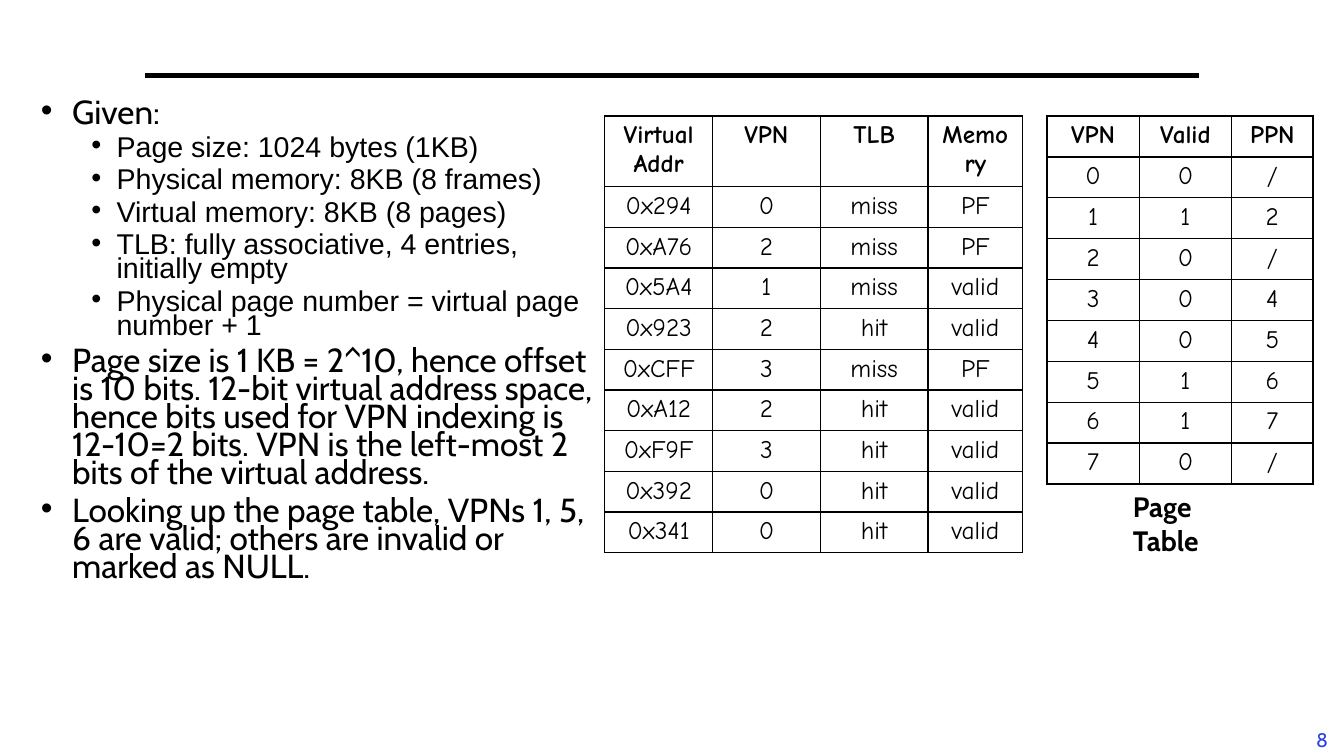
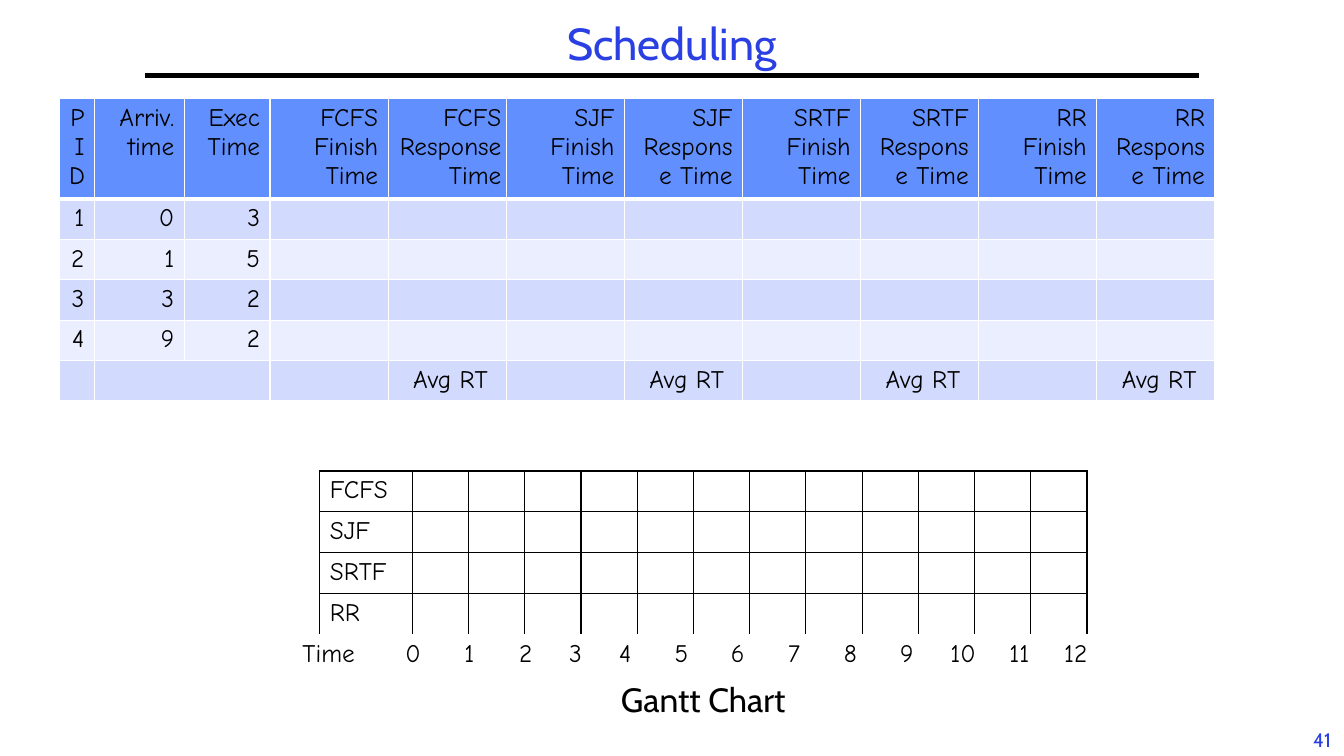
from collections import namedtuple

from lxml import etree
from pptx import Presentation
from pptx.dml.color import RGBColor
from pptx.enum.shapes import MSO_CONNECTOR
from pptx.enum.text import MSO_ANCHOR, MSO_AUTO_SIZE, PP_ALIGN
from pptx.oxml.ns import qn
from pptx.util import Inches, Pt

LEFT, CENTER, RIGHT = PP_ALIGN.LEFT, PP_ALIGN.CENTER, PP_ALIGN.RIGHT
STRAIGHT = MSO_CONNECTOR.STRAIGHT
TOP, MIDDLE = MSO_ANCHOR.TOP, MSO_ANCHOR.MIDDLE
NO_FIT = MSO_AUTO_SIZE.NONE

WIDTH, HEIGHT = Inches(13.333), Inches(7.5)
COLUMN, ROW = WIDTH / 100, HEIGHT / 100
COLORS = {"ink": "000000", "paper": "FFFFFF", "accent": "2A40E2",
          "header": "618FFD", "odd": "D2DBFE", "even": "EAEEFF"}
HEADING_FONT, LIST_FONT, TABLE_FONT = "Cabin", "Arial", "Comic Neue"

Box = namedtuple("Box", "left top width height")
Level = namedtuple("Level", "font size margin hanging")
LEVELS = [Level(HEADING_FONT, 23.8, 0.31, 0.31), Level(LIST_FONT, 20.4, 0.75, 0.25)]

GIVEN = [
    (0, "Given:"),
    (1, "Page size: 1024 bytes (1KB)"),
    (1, "Physical memory: 8KB (8 frames)"),
    (1, "Virtual memory: 8KB (8 pages)"),
    (1, "TLB: fully associative, 4 entries, initially empty"),
    (1, "Physical page number = virtual page number + 1"),
    (0, "Page size is 1 KB = 2^10, hence offset is 10 bits. 12-bit virtual address space, "
        "hence bits used for VPN indexing is 12-10=2 bits. VPN is the left-most 2 bits of "
        "the virtual address."),
    (0, "Looking up the page table, VPNs 1, 5, 6 are valid; others are invalid or marked as NULL."),
]
LOOKUPS = [
    ("Virtual Addr", "VPN", "TLB", "Memory"),
    ("0x294", "0", "miss", "PF"),
    ("0xA76", "2", "miss", "PF"),
    ("0x5A4", "1", "miss", "valid"),
    ("0x923", "2", "hit", "valid"),
    ("0xCFF", "3", "miss", "PF"),
    ("0xA12", "2", "hit", "valid"),
    ("0xF9F", "3", "hit", "valid"),
    ("0x392", "0", "hit", "valid"),
    ("0x341", "0", "hit", "valid"),
]
PAGE_TABLE = [("VPN", "Valid", "PPN")] + [
    (str(number), valid, frame) for number, (valid, frame) in enumerate(
        [("0", "/"), ("1", "2"), ("0", "/"), ("0", "4"),
         ("0", "5"), ("1", "6"), ("1", "7"), ("0", "/")])]
POLICIES = ["FCFS", "SJF", "SRTF", "RR"]
JOBS = [("1", "0", "3"), ("2", "1", "5"), ("3", "3", "2"), ("4", "9", "2")]


def rgb(name):
    """Return the palette colour with this name."""
    return RGBColor.from_string(COLORS[name])


def emu(box):
    """Turn a box in grid columns and rows into slide lengths."""
    return (round(box.left * COLUMN), round(box.top * ROW),
            round(box.width * COLUMN), round(box.height * ROW))


def style(para, font, size, color="ink", bold=False, align=LEFT, spacing=None):
    """Set the font, alignment and line spacing of a paragraph."""
    para.alignment = align
    if spacing:
        para.line_spacing = spacing
    para.font.name, para.font.size, para.font.bold = font, Pt(size), bold
    para.font.color.rgb = rgb(color)


def set_bullet(para, margin=0, hanging=0, mark=None):
    """Give a paragraph its indent and a bullet, or no bullet."""
    props = para._p.get_or_add_pPr()
    props.set("marL", str(Inches(margin)))
    props.set("indent", str(-Inches(hanging)))
    if mark:
        etree.SubElement(props, qn("a:buFont")).set("typeface", LIST_FONT)
        etree.SubElement(props, qn("a:buChar")).set("char", mark)
    else:
        etree.SubElement(props, qn("a:buNone"))


def place(holder, box, anchor=TOP):
    """Move a placeholder to a box and return its text frame."""
    holder.left, holder.top, holder.width, holder.height = emu(box)
    frame = holder.text_frame
    frame.auto_size, frame.vertical_anchor = NO_FIT, anchor
    return frame


def add_label(page, box, text, wrap=True, **look):
    """Add a one-paragraph text box."""
    frame = page.shapes.add_textbox(*emu(box)).text_frame
    frame.word_wrap = wrap
    frame.text = text
    style(frame.paragraphs[0], HEADING_FONT, **look)


def add_page(deck, number, title=None):
    """Add a slide with the shared rule, page number and title."""
    page = deck.slides.add_slide(deck.slide_layouts[1])
    add_label(page, Box(96.75, 95.6, 3.25, 4.4), number, wrap=False,
              size=14, color="accent", align=CENTER)
    left, top, width, _ = emu(Box(10.8, 10, 78.4, 0))
    rule = page.shapes.add_connector(STRAIGHT, left, top, left + width, top)
    rule.line.color.rgb, rule.line.width = rgb("ink"), Pt(3)
    etree.SubElement(rule._element.spPr, qn("a:effectLst"))
    holder = page.shapes.title
    if title:
        frame = place(holder, Box(10.8, 2.25, 78.4, 7.75), MIDDLE)
        frame.text = title
        style(frame.paragraphs[0], HEADING_FONT, 32, "accent", align=CENTER, spacing=0.9)
    else:
        holder._element.getparent().remove(holder._element)
    return page


def add_list(page, box, items):
    """Fill the body placeholder with a two-level bullet list."""
    frame = place(page.placeholders[1], box)
    for index, (depth, text) in enumerate(items):
        para = frame.add_paragraph() if index else frame.paragraphs[0]
        level = LEVELS[depth]
        para.text, para.level = text, depth
        para.space_before = Pt(round(0.3 * level.size) if index else 0)
        set_bullet(para, level.margin, level.hanging, "•")
        style(para, level.font, level.size, spacing=0.7)


def set_borders(cell, color, top=1, bottom=1):
    """Draw the four borders of a cell."""
    props = cell._tc.get_or_add_tcPr()
    sides = (("L", 1), ("R", 1), ("T", top), ("B", bottom))
    for index, (side, width) in enumerate(sides):
        line = etree.Element(qn(f"a:ln{side}"), w=str(Pt(width)))
        fill = etree.SubElement(line, qn("a:solidFill"))
        etree.SubElement(fill, qn("a:srgbClr")).set("val", COLORS[color])
        props.insert(index, line)


def add_grid(page, box, rows, weights, aligns, header=None, border="ink",
             bold_header=False, fills=None, header_rule=1):
    """Add a table whose columns share the box by weight; header is the top row's share."""
    left, top, width, height = emu(box)
    table = page.shapes.add_table(len(rows), len(weights), left, top, width, height).table
    table.first_row = table.horz_banding = False
    for column, weight in zip(table.columns, weights):
        column.width = round(width * weight / sum(weights))
    for index, row in enumerate(table.rows):
        share = 1 / len(rows)
        if header:
            share = (1 - header) / (len(rows) - 1) if index else header
        row.height = round(height * share)
        for cell, text, align in zip(row.cells, rows[index], aligns):
            cell.text = text
            for para in cell.text_frame.paragraphs:
                style(para, TABLE_FONT, 18, bold=bold_header and index == 0, align=align)
            if fills:
                cell.fill.solid()
                cell.fill.fore_color.rgb = rgb(fills[index])
            else:
                cell.fill.background()
            if border:
                set_borders(cell, border, header_rule if index == 1 else 1,
                            header_rule if index == 0 else 1)
    return table


def add_schedule(page, box):
    """Add the table of jobs with blank finish and response times."""
    titles = ["PID", "Arriv. time", "Exec Time"]
    for policy in POLICIES:
        titles += [f"{policy}\nFinish Time", f"{policy}\nResponse Time"]
    blanks = [""] * (2 * len(POLICIES))
    rows = [titles] + [[*job, *blanks] for job in JOBS]
    rows.append([""] * 3 + ["", "Avg RT "] * len(POLICIES))
    table = add_grid(page, box, rows, [0.35, 0.89, 0.85] + [1.17] * len(blanks),
                     [RIGHT] * len(titles), header=0.33, border="paper", header_rule=3,
                     fills=["header", "odd", "even", "odd", "even", "odd"])
    last = len(rows) - 1
    table.cell(last, 1).merge(table.cell(last, 2))
    tight = table.cell(0, 4)
    tight.margin_left = tight.margin_right = Inches(0.05)


def add_gantt(page, chart_box, axis_box, caption_box):
    """Add the blank Gantt grid, its time axis and its caption."""
    slots = 12
    add_grid(page, chart_box, [[policy] + [""] * slots for policy in POLICIES],
             [0.92] + [0.56] * slots, [LEFT] * (slots + 1))
    ticks = [str(tick) for tick in range(slots + 1)]
    add_grid(page, axis_box, [["Time"] + ticks],
             [0.92] + [0.43 if tick == "3" else 0.56 for tick in ticks],
             [LEFT] + [CENTER] * len(ticks), border=None)
    frame = place(page.placeholders[1], caption_box)
    frame.text = "Gantt Chart"
    para = frame.paragraphs[0]
    para.space_before = Pt(0)
    set_bullet(para)
    style(para, HEADING_FONT, 24, spacing=0.8)


def build_paging(deck):
    """Build the slide on page table lookups."""
    page = add_page(deck, "8")
    add_list(page, Box(2.3, 12.8, 42.7, 74.4), GIVEN)
    add_grid(page, Box(45, 15.35, 31.1, 57.7), LOOKUPS, [1.07, 1.07, 1.07, 0.94],
             [CENTER] * 4, header=0.16, bold_header=True)
    add_grid(page, Box(77.9, 15.35, 19.8, 48.7), PAGE_TABLE, [0.92, 0.92, 0.81],
             [CENTER] * 3, bold_header=True)
    add_label(page, Box(83.55, 64.1, 10.5, 5.9), "Page Table", size=20, bold=True)


def build_scheduling(deck):
    """Build the slide on scheduling policies."""
    page = add_page(deck, "41", "Scheduling")
    add_schedule(page, Box(4.4, 13, 86, 38.8))
    add_gantt(page, Box(23.8, 62.3, 57.1, 21.6), Box(21.75, 83.9, 60.4, 5.4),
              Box(45.45, 90.2, 13.75, 5.8))


def main():
    """Build and save the deck."""
    deck = Presentation()
    deck.slide_width, deck.slide_height = WIDTH, HEIGHT
    build_paging(deck)
    build_scheduling(deck)
    deck.save("out.pptx")


if __name__ == "__main__":
    main()
